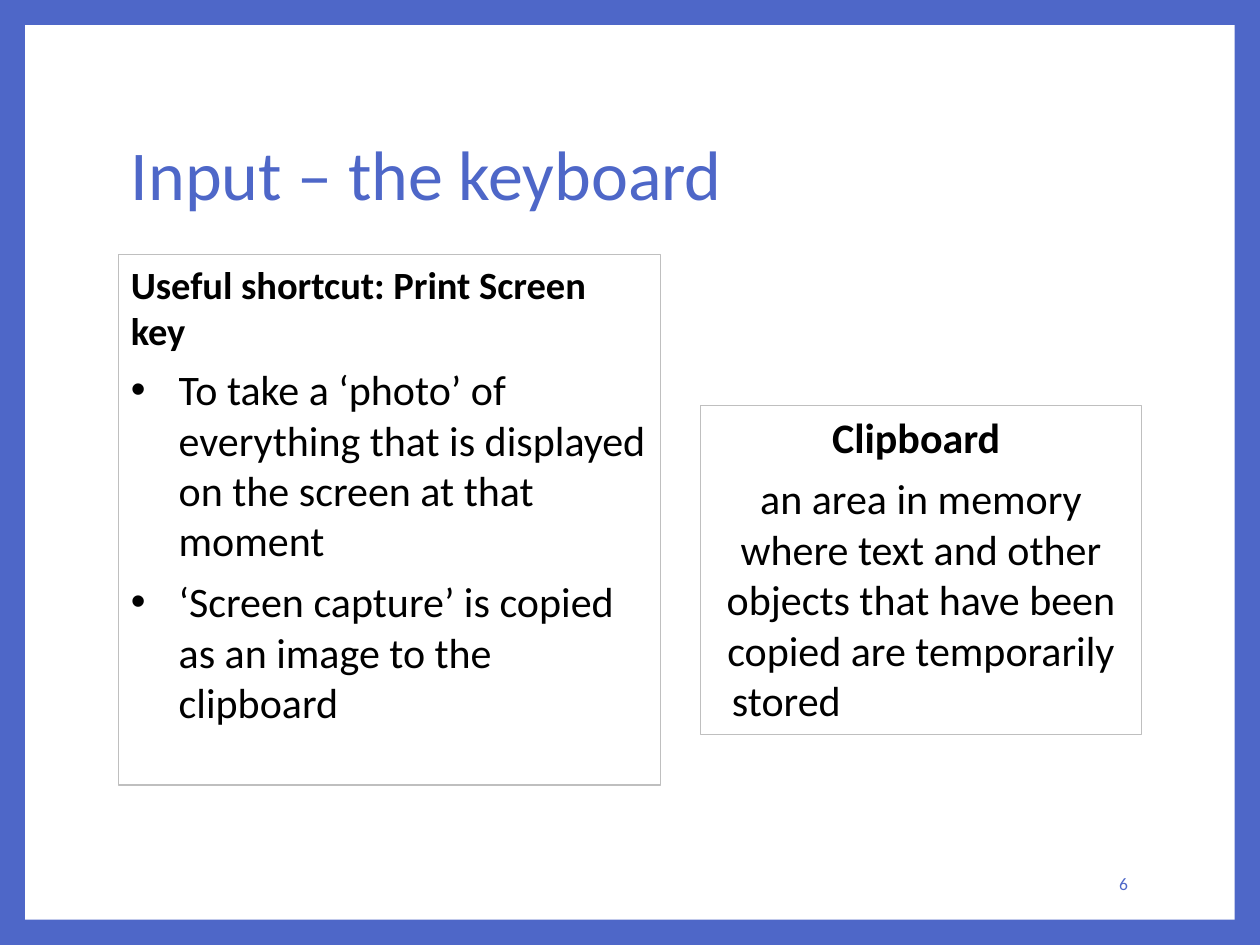
from lxml.etree import SubElement
from pptx import Presentation
from pptx.dml.color import RGBColor
from pptx.enum.shapes import MSO_SHAPE as Shape
from pptx.enum.text import MSO_ANCHOR as Anchor, PP_ALIGN as Align
from pptx.oxml.ns import qn
from pptx.util import Inches, Pt

BLUE = RGBColor(0x4E, 0x67, 0xC8)
WHITE = RGBColor(0xFF, 0xFF, 0xFF)
BLACK = RGBColor(0x00, 0x00, 0x00)
GREY = RGBColor(0xBF, 0xBF, 0xBF)

FONT = "Calibri"
WIDTH, HEIGHT = 10, 7.5
MARGIN = 0.2   # blue frame around the white panel
LEFT = 0.94    # shared by the title and the first box
INDENT = 0.38  # hanging indent of the bullets


def add_rect(s, x, y, w, h, fill=None, line=None):
    sp = s.shapes.add_shape(Shape.RECTANGLE, *map(Inches, (x, y, w, h)))
    sp.shadow.inherit = False
    if fill is None:
        sp.fill.background()
    else:
        sp.fill.solid()
        sp.fill.fore_color.rgb = fill
    if line is None:
        sp.line.fill.background()
    else:
        sp.line.color.rgb = line
        sp.line.width = Pt(0.75)
    return sp


def add_run(p, text, size, color=BLACK, bold=False):
    r = p.add_run()
    r.text = text
    r.font.name = FONT
    r.font.size = Pt(size)
    r.font.bold = bold
    r.font.color.rgb = color


def set_bullet(p):
    pPr = p._p.get_or_add_pPr()
    pPr.set("marL", str(Inches(INDENT)))
    pPr.set("indent", str(-Inches(INDENT)))
    SubElement(pPr, qn("a:buFont"), typeface="Arial")
    SubElement(pPr, qn("a:buChar"), char="•")


def add_label(s, x, y, w, h, text, size, align=Align.LEFT, spacing=1.0):
    tf = s.shapes.add_textbox(*map(Inches, (x, y, w, h))).text_frame
    tf.word_wrap = True
    tf.vertical_anchor = Anchor.MIDDLE
    p = tf.paragraphs[0]
    p.alignment = align
    p.line_spacing = spacing
    add_run(p, text, size, BLUE)


def add_note(s, x, y, w, h, heading, size, body, align=Align.LEFT, bullets=False):
    """Outlined box with a bold heading over body paragraphs."""
    tf = add_rect(s, x, y, w, h, line=GREY).text_frame
    tf.word_wrap = True
    tf.vertical_anchor = Anchor.TOP
    p = tf.paragraphs[0]
    add_run(p, heading, size, bold=True)
    for text in body:
        p = tf.add_paragraph()
        if bullets:
            set_bullet(p)
        add_run(p, text, 24)
    for p in tf.paragraphs:
        p.alignment = align
        p.space_after = Pt(6)


def main():
    prs = Presentation()
    prs.slide_width, prs.slide_height = Inches(WIDTH), Inches(HEIGHT)
    s = prs.slides.add_slide(prs.slide_layouts[6])

    # Blue frame and white panel
    s.background.fill.solid()
    s.background.fill.fore_color.rgb = BLUE
    add_rect(s, MARGIN, MARGIN, WIDTH - 2 * MARGIN, HEIGHT - 2 * MARGIN, fill=WHITE)

    # Title and slide number
    add_label(s, LEFT, 0.67, 8.1, 1.48, "Input – the keyboard", 40, spacing=0.9)
    add_label(s, 7.65, 6.81, 1.4, 0.4, "6", 10, Align.RIGHT)

    # Shortcut and definition boxes
    add_note(s, LEFT, 2.02, 4.3, 4.21, "Useful shortcut: Print Screen key", 22, [
        "To take a ‘photo’ of everything that is displayed on the screen at that moment",
        "‘Screen capture’ is copied as an image to the clipboard",
    ], bullets=True)
    # Trailing tabs push the last centred line to the left
    add_note(s, 5.56, 3.22, 3.5, 2.61, "Clipboard ", 24, [
        "an area in memory where text and other objects that have been copied "
        "are temporarily stored" + "\t" * 5,
    ], Align.CENTER)

    prs.save("out.pptx")


if __name__ == "__main__":
    main()
